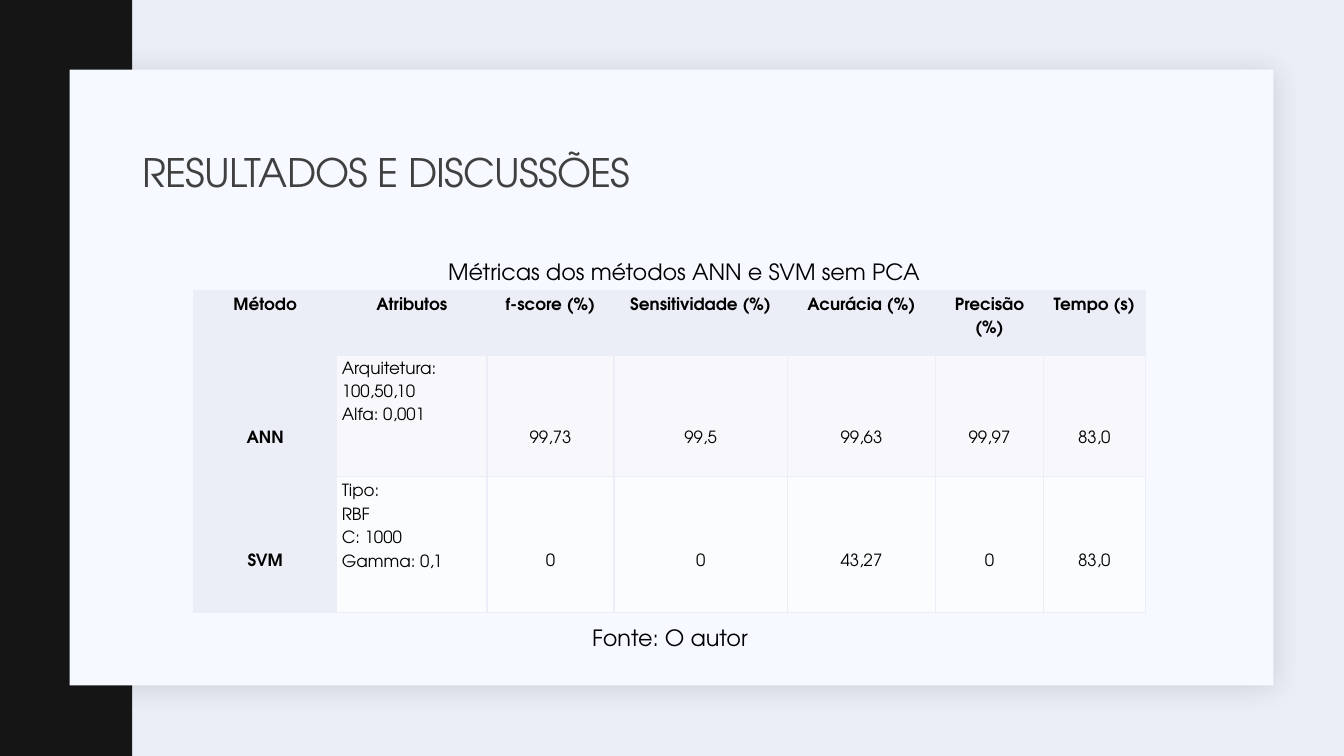
from pptx import Presentation
from pptx.dml.color import RGBColor
from pptx.enum import shapes, text
from pptx.oxml import parse_xml
from pptx.oxml.ns import nsdecls
from pptx.util import Inches, Pt

FONT = "TeX Gyre Adventor"
COLORS = {
    "background": "ECEEF7",
    "band": "141514",
    "panel": "F6F9FF",
    "shadow": "1F2125",
    "title": "404040",
    "text": "000000",
    "ann": "F8F8FC",
    "svm": "FBFCFD",
}
COLUMN_WIDTHS = [1.42, 1.49, 1.26, 1.72, 1.47, 1.07, 1.01]
ROW_HEIGHTS = [0.63, 1.22, 1.35]
METRICS = [
    ["Método", "Atributos", "f-score (%)", "Sensitividade (%)",
     "Acurácia (%)", "Precisão (%)", "Tempo (s)"],
    ["ANN", "Arquitetura: 100,50,10\nAlfa: 0,001",
     "99,73", "99,5", "99,63", "99,97", "83,0"],
    ["SVM", "Tipo:\nRBF\nC: 1000\nGamma: 0,1",
     "0", "0", "43,27", "0", "83,0"],
]
ROW_FILLS = ["background", "ann", "svm"]
VALUE_DROP = 0.69  # space above the values, two lines deep


def rgb(name):
    return RGBColor.from_string(COLORS[name])


def write(paragraph, wording, size, color="text", bold=False):
    """Add the wording run by run, with a line break between its lines."""
    for number, line in enumerate(wording.split("\n")):
        if number:
            paragraph.add_line_break()
        run = paragraph.add_run()
        run.text = line
        run.font.name = FONT
        run.font.size = Pt(size)
        run.font.bold = bold
        run.font.color.rgb = rgb(color)


def add_block(slide, left, top, width, height, color):
    block = slide.shapes.add_shape(
        shapes.MSO_SHAPE.RECTANGLE,
        Inches(left), Inches(top), Inches(width), Inches(height))
    block.shadow.inherit = False
    block.fill.solid()
    block.fill.fore_color.rgb = rgb(color)
    block.line.fill.background()
    return block


def add_soft_shadow(block):
    effects = block._element.spPr.find(
        "{http://schemas.openxmlformats.org/drawingml/2006/main}effectLst")
    effects.append(parse_xml(
        f'<a:outerShdw {nsdecls("a")} blurRad="{Pt(20)}" dist="{Pt(2)}" '
        f'dir="2700000" algn="ctr" rotWithShape="0">'
        f'<a:srgbClr val="{COLORS["shadow"]}"><a:alpha val="15000"/></a:srgbClr>'
        f'</a:outerShdw>'))


def set_title(slide, wording):
    title = slide.shapes.title
    slide.shapes._spTree.append(title._element)  # in front of the panel
    title.left, title.top = Inches(1.31), Inches(1.03)
    title.width, title.height = Inches(10.68), Inches(1.41)
    frame = title.text_frame
    frame.auto_size = text.MSO_AUTO_SIZE.NONE
    frame.vertical_anchor = text.MSO_ANCHOR.MIDDLE
    paragraph = frame.paragraphs[0]
    paragraph.alignment = text.PP_ALIGN.LEFT
    paragraph.line_spacing = 0.9
    write(paragraph, wording, 28, "title")
    paragraph.runs[0].font._element.set("spc", "-50")


def add_caption(slide, left, top, width, wording):
    caption = slide.shapes.add_textbox(
        Inches(left), Inches(top), Inches(width), Inches(0.37))
    frame = caption.text_frame
    frame.word_wrap = True
    frame.auto_size = text.MSO_AUTO_SIZE.SHAPE_TO_FIT_TEXT
    paragraph = frame.paragraphs[0]
    paragraph.alignment = text.PP_ALIGN.CENTER
    paragraph.space_after = Pt(10)
    write(paragraph, wording, 16)


def set_borders(cell, bottom):
    properties = cell._tc.get_or_add_tcPr()
    for side, width in (("L", 1), ("R", 1), ("T", 1), ("B", bottom)):
        properties.append(parse_xml(
            f'<a:ln{side} {nsdecls("a")} w="{Pt(width)}"><a:solidFill>'
            f'<a:srgbClr val="{COLORS["background"]}"/></a:solidFill></a:ln{side}>'))


def fill_cell(cell, row, column, wording):
    is_header = row == 0
    is_attribute = column == 1 and not is_header
    is_label = is_header or column == 0
    set_borders(cell, 3 if is_header else 1)
    cell.fill.solid()
    cell.fill.fore_color.rgb = rgb("background" if is_label else ROW_FILLS[row])
    cell.margin_left = cell.margin_right = Inches(0.05)
    cell.margin_top = Inches(0 if is_header or is_attribute else VALUE_DROP)
    cell.margin_bottom = 0
    paragraph = cell.text_frame.paragraphs[0]
    paragraph.alignment = (
        text.PP_ALIGN.LEFT if is_attribute else text.PP_ALIGN.CENTER)
    paragraph.line_spacing = 1.5
    paragraph.space_after = Pt(8)
    write(paragraph, wording, 12, bold=is_label)


def add_metrics(slide, left, top):
    metrics = slide.shapes.add_table(
        len(ROW_HEIGHTS), len(COLUMN_WIDTHS), Inches(left), Inches(top),
        Inches(sum(COLUMN_WIDTHS)), Inches(sum(ROW_HEIGHTS))).table
    metrics.first_row = metrics.horz_banding = False
    for column, width in zip(metrics.columns, COLUMN_WIDTHS):
        column.width = Inches(width)
    for row, height in zip(metrics.rows, ROW_HEIGHTS):
        row.height = Inches(height)
    for row, wordings in enumerate(METRICS):
        for column, wording in enumerate(wordings):
            fill_cell(metrics.cell(row, column), row, column, wording)


def main():
    deck = Presentation()
    deck.slide_width, deck.slide_height = Inches(13.33), Inches(7.5)
    slide = deck.slides.add_slide(deck.slide_layouts[5])

    # Backdrop
    slide.background.fill.solid()
    slide.background.fill.fore_color.rgb = rgb("background")
    add_block(slide, 0, 0, 1.31, 7.5, "band")
    panel = add_block(slide, 0.69, 0.69, 11.94, 6.11, "panel")
    add_soft_shadow(panel)

    # Title, captions and results
    set_title(slide, "RESULTADOS E DISCUSSÕES")
    add_caption(slide, 3.14, 2.51, 7.29, "Métricas dos métodos ANN e SVM sem PCA")
    add_caption(slide, 3.31, 6.14, 6.67, "Fonte: O autor")
    add_metrics(slide, 1.92, 2.88)

    deck.save("out.pptx")


if __name__ == "__main__":
    main()
